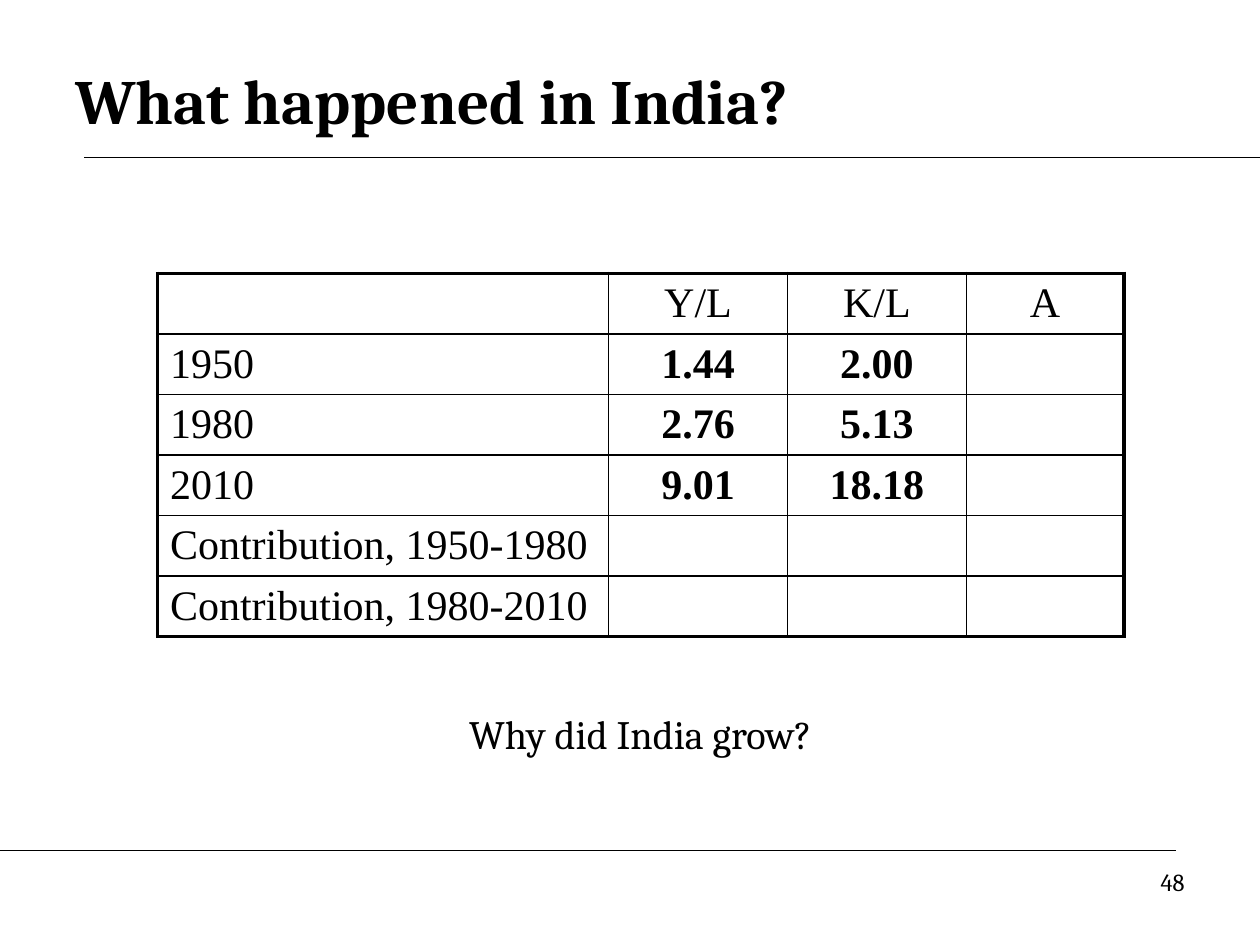
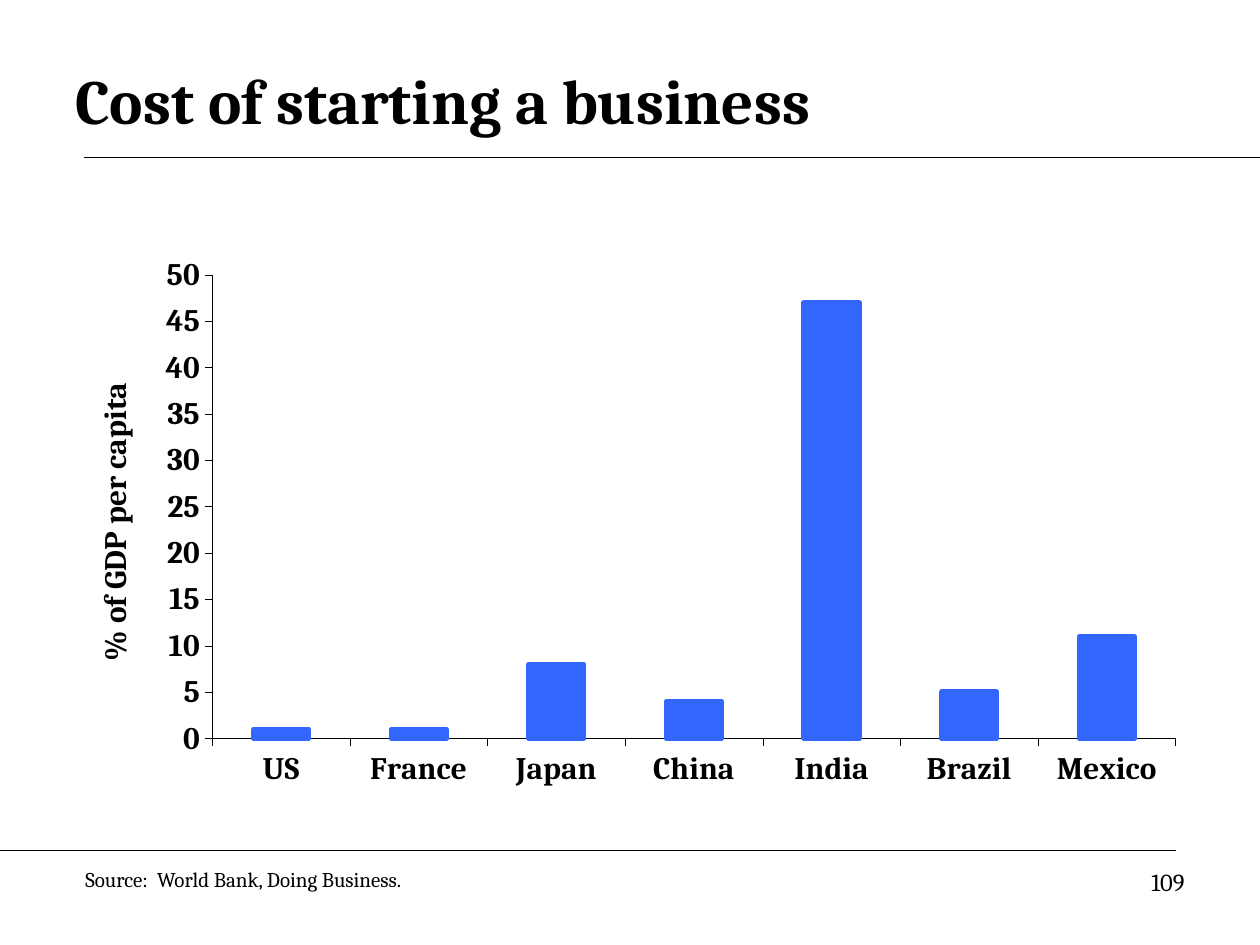
from dataclasses import dataclass
from lxml import etree
from pptx import Presentation
from pptx.chart.data import CategoryChartData
from pptx.dml.color import RGBColor
from pptx.enum.chart import XL_CHART_TYPE, XL_TICK_MARK
from pptx.enum.shapes import MSO_CONNECTOR
from pptx.enum.text import MSO_ANCHOR, PP_ALIGN
from pptx.oxml import parse_xml
from pptx.oxml.ns import nsdecls, qn
from pptx.util import Inches, Pt


@dataclass(frozen=True)
class Theme:
    ink: RGBColor = RGBColor(0, 0, 0)
    paper: RGBColor = RGBColor(255, 255, 255)
    bar: RGBColor = RGBColor(0x33, 0x66, 0xFF)
    font: str = "Cambria"
    table_font: str = "Times New Roman"
    title: float = 36
    table: float = 24
    body: float = 23
    axis: float = 17.9
    number: float = 14
    source: float = 12
    rule: float = 0.75
    inner_border: float = 1
    outer_border: float = 2.25


theme = Theme()


def write(tf, text, size, font=theme.font, bold=False, align=PP_ALIGN.LEFT, anchor=MSO_ANCHOR.TOP):
    tf.word_wrap = True
    tf.vertical_anchor = anchor
    p = tf.paragraphs[0]
    p.alignment = align
    r = p.add_run()
    r.text = text
    r.font.name = font
    r.font.size = Pt(size)
    r.font.bold = bold
    r.font.color.rgb = theme.ink


def add_border(cell, side, width):
    tc_pr = cell._tc.get_or_add_tcPr()
    tc_pr.append(parse_xml(
        f'<a:ln{side} {nsdecls("a")} w="{Pt(width)}"><a:solidFill>'
        f'<a:srgbClr val="{theme.ink}"/></a:solidFill></a:ln{side}>'))


prs = Presentation()
prs.slide_width, prs.slide_height = Inches(10), Inches(7.5)
layout = prs.slide_layouts[5]

pages = [("What happened in India?", "48"), ("Cost of starting a business", "109")]
for title, number in pages:
    s = prs.slides.add_slide(layout)
    sp = s.shapes.title
    sp.left, sp.top, sp.width, sp.height = Inches(0.5), Inches(0.33), Inches(9), Inches(0.92)
    write(sp.text_frame, title, theme.title, bold=True, anchor=MSO_ANCHOR.MIDDLE)
    sp = s.shapes.add_textbox(Inches(7.17), Inches(6.83), Inches(2.33), Inches(0.52))
    write(sp.text_frame, number, theme.number, align=PP_ALIGN.RIGHT)

growth, cost = prs.slides

for x1, x2, y in [(0.67, 10, 1.25), (0, 9.33, 6.75)]:
    rule = growth.shapes.add_connector(
        MSO_CONNECTOR.STRAIGHT, Inches(x1), Inches(y), Inches(x2), Inches(y))
    rule.line.color.rgb = theme.ink
    rule.line.width = Pt(theme.rule)
    etree.SubElement(rule._element.spPr, qn("a:effectLst"))
    layout.shapes._spTree.append(rule._element)

rows = [
    ("", "Y/L", "K/L", "A"),
    ("1950", "1.44", "2.00", ""),
    ("1980", "2.76", "5.13", ""),
    ("2010", "9.01", "18.18", ""),
    ("Contribution, 1950-1980", "", "", ""),
    ("Contribution, 1980-2010", "", "", ""),
]
col_widths = [3.58, 1.42, 1.42, 1.25]
row_height = 0.47
last_row, last_col = len(rows) - 1, len(col_widths) - 1
table = growth.shapes.add_table(
    len(rows), len(col_widths), Inches(1.25), Inches(2.17),
    Inches(sum(col_widths)), Inches(row_height * len(rows))).table
table.first_row = table.horz_banding = False
for col, width in zip(table.columns, col_widths):
    col.width = Inches(width)
for i, row in enumerate(rows):
    table.rows[i].height = Inches(row_height)
    for j, text in enumerate(row):
        cell = table.cell(i, j)
        cell.margin_top = cell.margin_bottom = Inches(0.04)
        cell.vertical_anchor = MSO_ANCHOR.MIDDLE
        outer = {"L": j == 0, "R": j == last_col, "T": i == 0, "B": i == last_row}
        for side, is_outer in outer.items():
            add_border(cell, side, theme.outer_border if is_outer else theme.inner_border)
        cell.fill.solid()
        cell.fill.fore_color.rgb = theme.paper
        if text:
            write(cell.text_frame, text, theme.table, font=theme.table_font,
                  bold=i > 0 and j > 0, align=PP_ALIGN.CENTER if j else PP_ALIGN.LEFT,
                  anchor=MSO_ANCHOR.MIDDLE)

sp = growth.shapes.add_textbox(Inches(0.67), Inches(5.58), Inches(8.83), Inches(0.92))
write(sp.text_frame, "Why did India grow?", theme.body, align=PP_ALIGN.CENTER)

data = CategoryChartData()
data.categories = ["US", "France", "Japan", "China", "India", "Brazil", "Mexico"]
data.add_series("Series 1", [1, 1, 8, 4, 47, 5, 11])
chart = cost.shapes.add_chart(
    XL_CHART_TYPE.COLUMN_CLUSTERED, Inches(0.56), Inches(1.81),
    Inches(8.86), Inches(4.83), data).chart
chart.has_legend = chart.has_title = False
chart.font.name = theme.font
chart.font.size = Pt(theme.axis)
chart.font.bold = True
chart.font.color.rgb = theme.ink

plot = chart.plots[0]
plot.gap_width = 150
plot.vary_by_categories = False
bars = plot.series[0]
bars.format.fill.solid()
bars.format.fill.fore_color.rgb = theme.bar
bars.format.line.color.rgb = theme.bar
bars.format.line.width = Pt(3)

for axis in (chart.category_axis, chart.value_axis):
    axis.has_major_gridlines = False
    axis.major_tick_mark = XL_TICK_MARK.OUTSIDE
    axis.minor_tick_mark = XL_TICK_MARK.NONE
    axis.format.line.color.rgb = theme.ink
    axis.format.line.width = Pt(0.25)
    axis.tick_labels.font.name = theme.font
    axis.tick_labels.font.size = Pt(theme.axis)
    axis.tick_labels.font.bold = True
    axis.tick_labels.font.color.rgb = theme.ink
chart.value_axis.minimum_scale = 0
chart.value_axis.maximum_scale = 50
chart.value_axis.major_unit = 5
write(chart.value_axis.axis_title.text_frame, "% of GDP per capita", theme.axis,
      bold=True, align=PP_ALIGN.CENTER)

plot_area = chart._chartSpace.chart.plotArea
for old in plot_area.findall(qn("c:layout")):
    plot_area.remove(old)
plot_area.insert(0, parse_xml(
    f'<c:layout {nsdecls("c")}><c:manualLayout><c:layoutTarget val="inner"/>'
    '<c:xMode val="edge"/><c:yMode val="edge"/><c:x val="0.127"/><c:y val="0.077"/>'
    '<c:w val="0.863"/><c:h val="0.762"/></c:manualLayout></c:layout>'))

sp = cost.shapes.add_textbox(Inches(0.58), Inches(6.83), Inches(4.83), Inches(0.3))
write(sp.text_frame, "Source:  World Bank, Doing Business.", theme.source)

prs.save("out.pptx")
